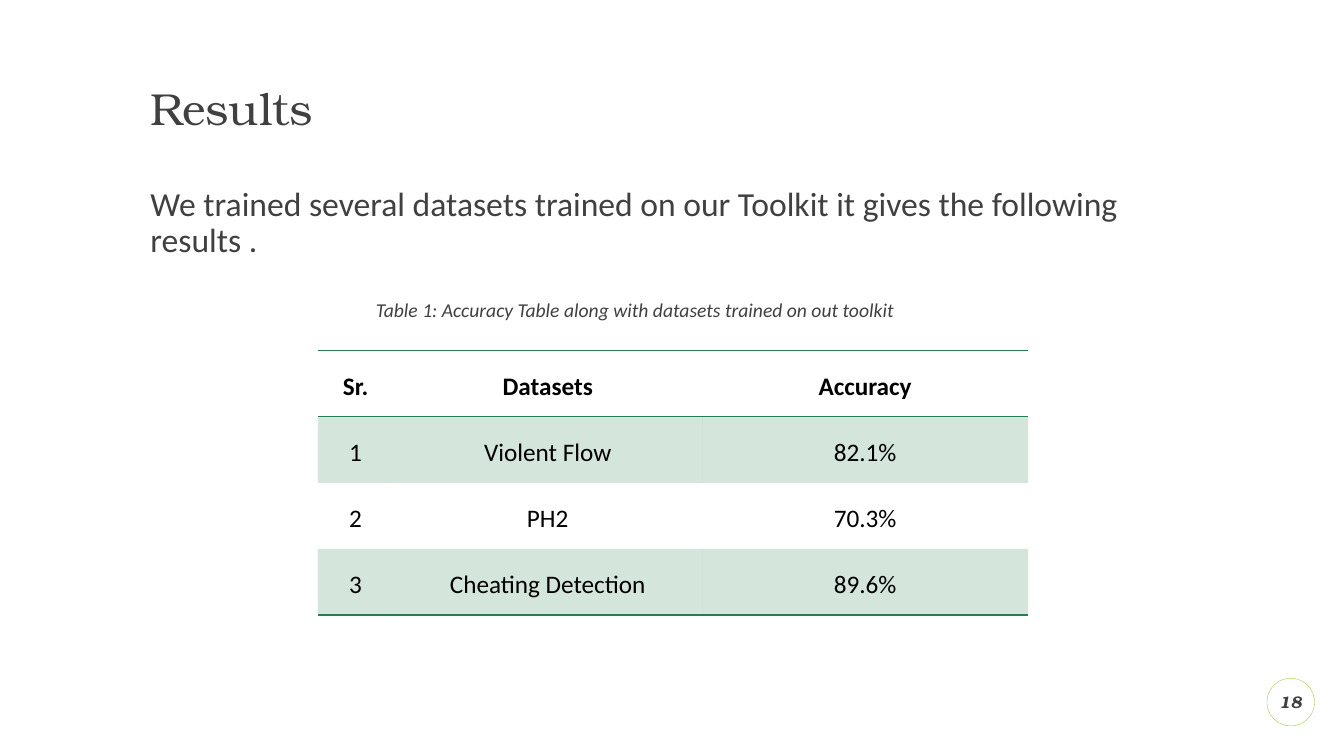
from lxml.etree import SubElement
from pptx import Presentation
from pptx.dml.color import RGBColor
from pptx.enum.shapes import MSO_SHAPE
from pptx.enum.text import MSO_ANCHOR, MSO_AUTO_SIZE, PP_ALIGN
from pptx.oxml.ns import qn
from pptx.util import Pt

RESULTS = [
    ("Sr.", "Datasets", "Accuracy"),
    ("1", "Violent Flow", "82.1%"),
    ("2", "PH2", "70.3%"),
    ("3", "Cheating Detection", "89.6%"),
]


def rgb(value):
    return RGBColor.from_string(value)


def write(tf, text, font="Calibri", size=18, color="404040", bold=False,
          italic=False, align=PP_ALIGN.LEFT, spacing=1.0):
    """Fill a text frame with one formatted paragraph."""
    p = tf.paragraphs[0]
    p.alignment, p.line_spacing, p.space_before = align, spacing, Pt(0)
    r = p.add_run()
    r.text = text
    f = r.font
    f.name, f.size, f.bold, f.italic = font, Pt(size), bold, italic
    f.color.rgb = rgb(color)
    return p


class ResultsSlide:
    DISPLAY = "TeX Gyre Bonum"
    GREEN = "297D53"
    LIME = "9ACB39"
    BLACK = "000000"

    def __init__(self, prs):
        self.s = prs.slides.add_slide(prs.slide_layouts[1])

    def frame(self, sp, anchor=MSO_ANCHOR.TOP):
        tf = sp.text_frame
        tf.word_wrap, tf.auto_size = True, MSO_AUTO_SIZE.NONE
        tf.vertical_anchor = anchor
        tf.margin_left = tf.margin_top = tf.margin_right = tf.margin_bottom = 0
        return tf

    def place(self, sp, x, y, w, h):
        sp.left, sp.top, sp.width, sp.height = Pt(x), Pt(y), Pt(w), Pt(h)

    def title(self, text, *box):
        sp = self.s.shapes.title
        self.place(sp, *box)
        write(self.frame(sp, MSO_ANCHOR.MIDDLE), text, font=self.DISPLAY,
              size=32, spacing=0.9)

    def body(self, text, *box):
        sp = self.s.placeholders[1]
        self.place(sp, *box)
        p = write(self.frame(sp), text, size=24, spacing=0.9)
        pPr = p._p.get_or_add_pPr()
        pPr.set("marL", "0")
        pPr.set("indent", "0")
        SubElement(pPr, qn("a:buNone"))

    def caption(self, text, x, y, w, h):
        sp = self.s.shapes.add_textbox(Pt(x), Pt(y), Pt(w), Pt(h))
        write(self.frame(sp), text, size=14, italic=True)

    def page_badge(self, text, x, y, d):
        sp = self.s.shapes.add_shape(MSO_SHAPE.OVAL, Pt(x), Pt(y), Pt(d), Pt(d))
        sp.shadow.inherit = False
        sp.fill.background()
        sp.line.color.rgb, sp.line.width = rgb(self.LIME), Pt(0.25)
        write(self.frame(sp, MSO_ANCHOR.MIDDLE), text, font=self.DISPLAY,
              size=12, bold=True, italic=True, align=PP_ALIGN.CENTER)

    def border(self, cell, side, visible):
        ln = SubElement(cell._tc.get_or_add_tcPr(), qn(f"a:ln{side}"), w=str(Pt(1)))
        if visible:
            fill = SubElement(ln, qn("a:solidFill"))
            SubElement(fill, qn("a:srgbClr"), val=self.GREEN)
        else:
            SubElement(ln, qn("a:noFill"))

    def shade(self, cell, shaded):
        if not shaded:
            cell.fill.background()
            return
        cell.fill.solid()
        cell.fill.fore_color.rgb = rgb(self.GREEN)
        color = cell._tc.tcPr.find(f"{qn('a:solidFill')}/{qn('a:srgbClr')}")
        SubElement(color, qn("a:alpha"), val="20000")

    def table(self, rows, x, y, widths, row_height):
        n = len(rows)
        table = self.s.shapes.add_table(n, len(widths), Pt(x), Pt(y), Pt(sum(widths)),
                                        Pt(n * row_height)).table
        table.horz_banding = table.first_row = False
        for column, width in zip(table.columns, widths):
            column.width = Pt(width)
        ruled = (0, 1, n)  # edges above and below the header, and at the end
        for i, row in enumerate(rows):
            table.rows[i].height = Pt(row_height)
            for j, text in enumerate(row):
                cell = table.cell(i, j)
                write(cell.text_frame, text, color=self.BLACK, bold=i == 0,
                      align=PP_ALIGN.CENTER, spacing=1.5)
                for side, visible in (("L", False), ("R", False),
                                      ("T", i in ruled), ("B", i + 1 in ruled)):
                    self.border(cell, side, visible)
                self.shade(cell, i % 2 == 1)


def main():
    prs = Presentation()
    prs.slide_width, prs.slide_height = Pt(960), Pt(540)
    slide = ResultsSlide(prs)

    # Heading and introduction
    slide.title("Results", 107.5, 62, 850, 34)
    slide.body("We trained several datasets trained on our Toolkit it gives "
               "the following results .", 107.5, 134, 732, 78.5)

    # Page number
    slide.page_badge("18", 905, 484.5, 34)

    # Accuracy table with its caption
    slide.table(RESULTS, 227, 250.5, (54, 220.5, 233), 47.2)
    slide.caption("Table 1: Accuracy Table along with datasets trained on out toolkit",
                  268.5, 212.5, 409, 26.5)

    prs.save("out.pptx")


if __name__ == "__main__":
    main()
